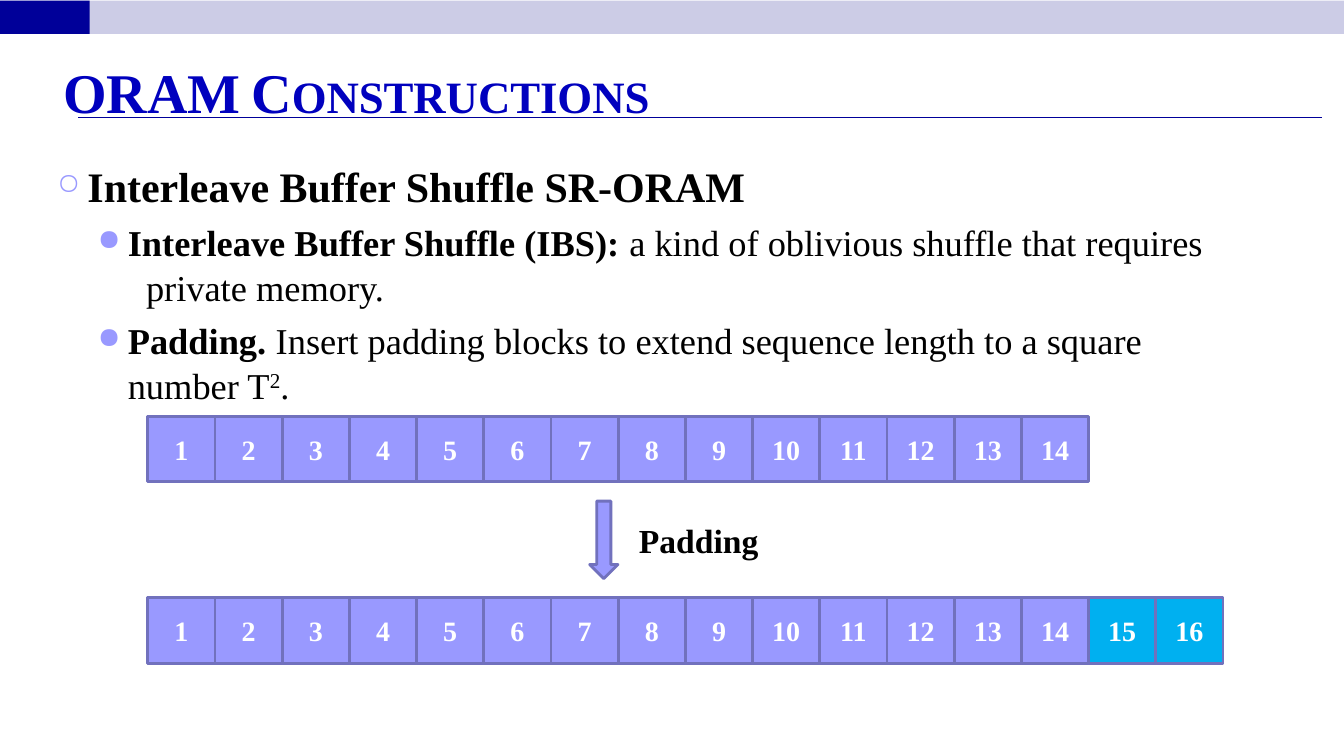
from lxml import etree
from pptx import Presentation
from pptx import util as u
from pptx.dml.color import RGBColor
from pptx.enum import shapes, text
from pptx.oxml.ns import qn

# Content
TITLE = "ORAM Constructions"
# Paragraphs: style, then runs as (text, bold, superscript)
BODY = [
    ("head", [("Interleave Buffer Shuffle SR-ORAM", True, False)]),
    ("item", [("Interleave Buffer Shuffle (IBS): ", True, False),
              ("a kind of oblivious shuffle that requires", False, False)]),
    ("more", [("private memory.", False, False)]),
    ("item", [("Padding. ", True, False),
              ("Insert padding blocks to extend sequence length to a square number T",
               False, False),
              ("2", False, True), (".", False, False)]),
]
ARROW_LABEL = "Padding"
DATA_BLOCKS = 14
ROWS = [(297.4, 14), (427, 16)]  # top, number of blocks

# Look
FONT = "Times New Roman"
C = {"band": "CCCCE6", "navy": "000099", "title": "0000BE", "block": "9999FF",
     "edge": "7171BD", "pad": "00B0F0", "text": "000000", "white": "FFFFFF"}
# size, left margin, hanging, space before, bullet, bullet size %
STYLES = {
    "head": (30, 21.6, 21.6, 0, "○", 70),
    "item": (26, 50.4, 21.6, 5.2, "●", 80),
    "more": (26, 63.4, 0, 0, None, None),
}
ROW_LEFT, BLOCK_W, BLOCK_H = 105.6, 48, 46.8

prs = Presentation()
prs.slide_width, prs.slide_height = u.Pt(960), u.Pt(540)
s = prs.slides.add_slide(prs.slide_layouts[6])


def rgb(name):
    return RGBColor.from_string(C[name])


def add_run(p, words, size, color="text", bold=True):
    r = p.add_run()
    r.text = words
    r.font.name, r.font.size, r.font.bold = FONT, u.Pt(size), bold
    r.font.color.rgb = rgb(color)
    return r


def add_box(kind, box, fill, edge=None):
    sp = s.shapes.add_shape(kind, *map(u.Pt, box))
    sp.shadow.inherit = False
    sp.fill.solid()
    sp.fill.fore_color.rgb = rgb(fill)
    if edge:
        sp.line.color.rgb = rgb(edge)
        sp.line.width = u.Pt(2)
    else:
        sp.line.fill.background()
    return sp


def add_text(box, wrap=True):
    tf = s.shapes.add_textbox(*map(u.Pt, box)).text_frame
    tf.word_wrap = wrap
    return tf


def format_paragraph(p, style):
    size, margin, hang, before, bullet, percent = STYLES[style]
    p.space_before = u.Pt(before)
    p.line_spacing = 1.04
    pPr = p._p.get_or_add_pPr()
    pPr.set("marL", str(u.Pt(margin)))
    pPr.set("indent", str(-u.Pt(hang)))
    if bullet:
        clr = etree.SubElement(pPr, qn("a:buClr"))
        etree.SubElement(clr, qn("a:srgbClr"), val=C["block"])
        etree.SubElement(pPr, qn("a:buSzPct"), val=str(percent * 1000))
        etree.SubElement(pPr, qn("a:buChar"), char=bullet)
    return size


# Top band and title rule
RECT = shapes.MSO_SHAPE.RECTANGLE
add_box(RECT, (0, 0.5, 960, 23.8), "band")
add_box(RECT, (0, 0.5, 64, 23.8), "navy")
rule = s.shapes.add_connector(shapes.MSO_CONNECTOR.STRAIGHT,
                              u.Pt(56), u.Pt(84), u.Pt(944), u.Pt(84))
rule.line.color.rgb = rgb("navy")
rule.line.width = u.Pt(0.75)
etree.SubElement(rule._element.spPr, qn("a:effectLst"))

# Title in small capitals
tf = add_text((38, 37.4, 882, 53.3))
r = add_run(tf.paragraphs[0], TITLE, 40, "title")
r.font._element.set("cap", "small")

# Bulleted text
tf = add_text((33.8, 109.5, 862, 194))
for i, (style, runs) in enumerate(BODY):
    p = tf.add_paragraph() if i else tf.paragraphs[0]
    size = format_paragraph(p, style)
    for words, bold, raised in runs:
        r = add_run(p, words, size, bold=bold)
        if raised:
            r.font._element.set("baseline", "30000")

# Block rows before and after padding
for top, count in ROWS:
    for i in range(count):
        fill = "block" if i < DATA_BLOCKS else "pad"
        sp = add_box(RECT, (ROW_LEFT + i * BLOCK_W, top, BLOCK_W, BLOCK_H), fill, "edge")
        tf = sp.text_frame
        tf.vertical_anchor = text.MSO_ANCHOR.MIDDLE
        p = tf.paragraphs[0]
        p.alignment = text.PP_ALIGN.CENTER
        add_run(p, str(i + 1), 20, "white")

# Arrow and its label
add_box(shapes.MSO_SHAPE.DOWN_ARROW, (421.2, 358, 20.2, 55.4), "block", "edge")
tf = add_text((449.3, 368, 100.8, 36), wrap=False)
add_run(tf.paragraphs[0], ARROW_LABEL, 24)

prs.save("out.pptx")
